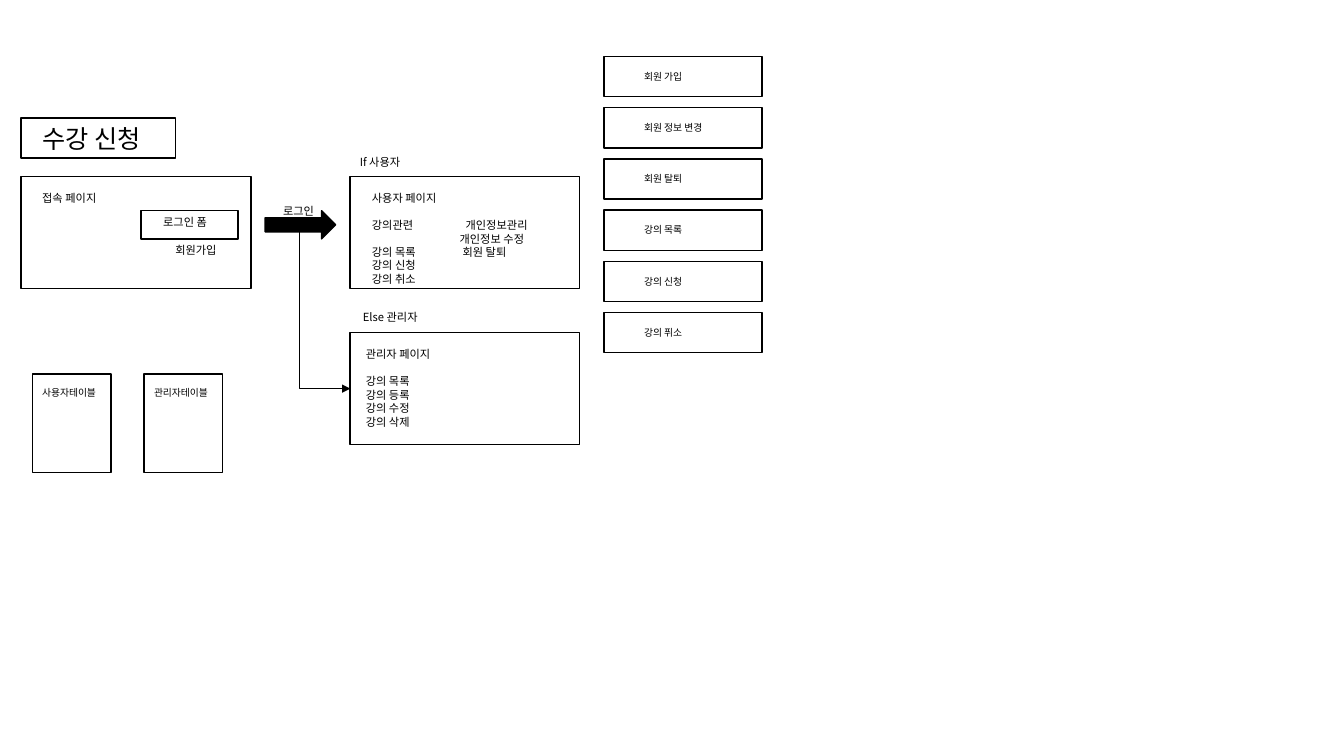
from pptx import Presentation
from pptx.dml.color import RGBColor
from pptx.enum import shapes
from pptx.oxml.ns import qn
from pptx.util import Inches, Pt
from lxml import etree

FONT = "Noto Sans CJK KR"
BLACK = RGBColor(0, 0, 0)
WHITE = RGBColor(255, 255, 255)
LINE_HEIGHT = 1.2  # times the font size

# Frames: left, top, width, height, fill
PAGE_W, PAGE_H = 2.28, 1.11
FRAMES = [
    (0.21, 1.17, 1.53, 0.4, WHITE),
    (0.21, 1.75, PAGE_W, PAGE_H, None),
    (1.4, 2.09, 0.96, 0.28, WHITE),
    (3.47, 1.75, PAGE_W, PAGE_H, None),
    (3.47, 3.3, PAGE_W, PAGE_H, None),
]
LOGIN_ARROW = (2.63, 2.09, 0.7, 0.28, BLACK)

# Labels: left, top, width, font size, groups of lines (one line apart)
LABELS = [
    (0.32, 1.17, 1.42, 18, [["수강 신청"]]),
    (0.32, 1.85, 2.04, 8, [["접속 페이지"]]),
    (1.52, 2.09, 0.84, 8, [["로그인 폼"]]),
    (1.64, 2.36, 0.84, 8, [["회원가입"]]),
    (2.71, 1.98, 0.84, 8, [["로그인"]]),
    (3.47, 1.49, 0.84, 8, [["If 사용자"]]),
    (3.5, 3.03, 0.84, 8, [["Else 관리자"]]),
    (3.59, 1.85, 0.84, 8,
     [["사용자 페이지"], ["강의관련"], ["강의 목록", "강의 신청", "강의 취소"]]),
    (3.53, 3.4, 2.04, 8,
     [["관리자 페이지"], ["강의 목록", "강의 등록", "강의 수정", "강의 삭제"]]),
]
PROFILE_MENU = (4.46, 2.12, 1.1, 8, [["개인정보관리", "개인정보 수정", "회원 탈퇴"]])
PROFILE_INDENTS = [0.06, 0, 0.03]

TABLES = ["사용자테이블", "관리자테이블"]
TABLE_LEFT, TABLE_TOP, TABLE_STEP = 0.32, 3.71, 1.11
FEATURES = ["회원 가입", "회원 정보 변경", "회원 탈퇴", "강의 목록", "강의 신청", "강의 퓌소"]
FEATURE_LEFT, FEATURE_TOP, FEATURE_STEP = 5.99, 0.56, 0.508

prs = Presentation()
prs.slide_width, prs.slide_height = Inches(13.33), Inches(7.5)
s = prs.slides.add_slide(prs.slide_layouts[6])


def add_frame(left, top, width, height, fill=None,
              kind=shapes.MSO_SHAPE.RECTANGLE):
    sp = s.shapes.add_shape(kind, *map(Inches, (left, top, width, height)))
    sp.shadow.inherit = False
    if fill is None:
        sp.fill.background()
    else:
        sp.fill.solid()
        sp.fill.fore_color.rgb = fill
    sp.line.color.rgb = BLACK
    sp.line.width = Pt(1)


def add_label(left, top, width, size, groups):
    pitch = size * LINE_HEIGHT
    lines = [(line, g > 0 and i == 0)
             for g, group in enumerate(groups) for i, line in enumerate(group)]
    rows = len(lines) + len(groups) - 1
    height = 0.1 + rows * pitch / 72
    tf = s.shapes.add_textbox(*map(Inches, (left, top, width, height))).text_frame
    tf.word_wrap = True
    tf.text = "\n".join(line for line, _ in lines)
    for p, (_, opens_group) in zip(tf.paragraphs, lines):
        p.line_spacing = Pt(pitch)
        if opens_group:
            p.space_before = Pt(pitch)
        for r in p.runs:
            r.font.size, r.font.name = Pt(size), FONT
            r.font.color.rgb = BLACK
            etree.SubElement(r.font._element, qn("a:ea"), typeface=FONT)
    return tf


def add_admin_branch():
    """Elbow running down from the login arrow, then right to the admin page."""
    c = s.shapes.add_connector(shapes.MSO_CONNECTOR.ELBOW,
                               *map(Inches, (4.03, 2.79, 2.41, 3.3)))
    c.line.color.rgb = BLACK
    c.line.width = Pt(0.5)
    sp_pr = c._element.spPr
    sp_pr.find(qn("a:xfrm")).set("rot", str(270 * 60000))
    sp_pr.find(qn("a:prstGeom")).set("prst", "bentConnector2")
    etree.SubElement(sp_pr.find(qn("a:ln")), qn("a:tailEnd"), type="triangle")
    etree.SubElement(sp_pr, qn("a:effectLst"))


for frame in FRAMES:
    add_frame(*frame)
add_frame(*LOGIN_ARROW, kind=shapes.MSO_SHAPE.RIGHT_ARROW)
add_admin_branch()
for label in LABELS:
    add_label(*label)

profile = add_label(*PROFILE_MENU)
for p, indent in zip(profile.paragraphs, PROFILE_INDENTS):
    p._p.get_or_add_pPr().set("marL", str(Inches(indent)))

for i, name in enumerate(TABLES):
    left = TABLE_LEFT + i * TABLE_STEP
    add_frame(left, TABLE_TOP, 0.78, 0.98)
    add_label(left, TABLE_TOP + 0.08, 0.84, 7, [[name]])

for i, name in enumerate(FEATURES):
    top = FEATURE_TOP + i * FEATURE_STEP
    add_frame(FEATURE_LEFT, top, 1.57, 0.4)
    add_label(FEATURE_LEFT + 0.3, top + 0.09, 0.84, 7, [[name]])

prs.save("out.pptx")
